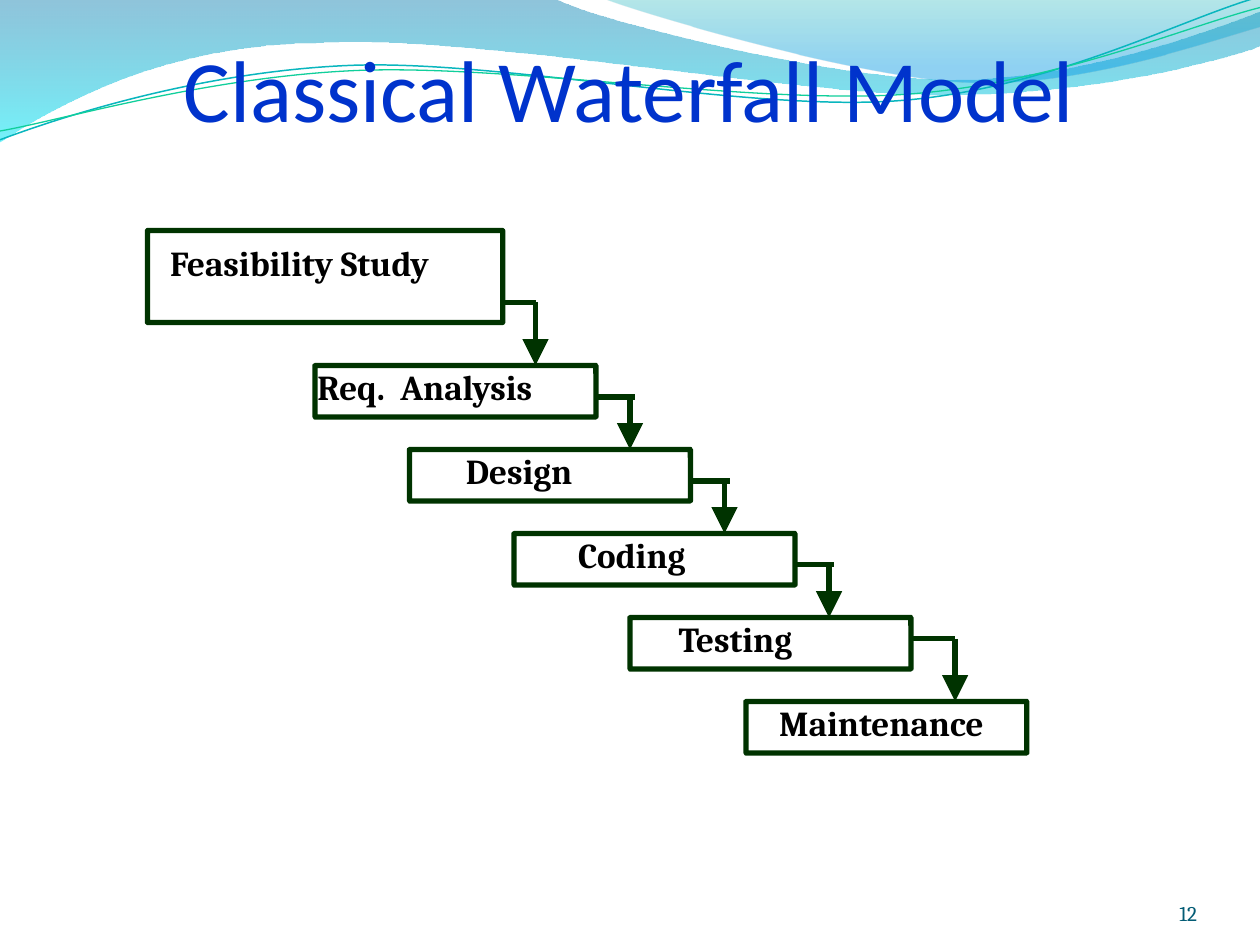
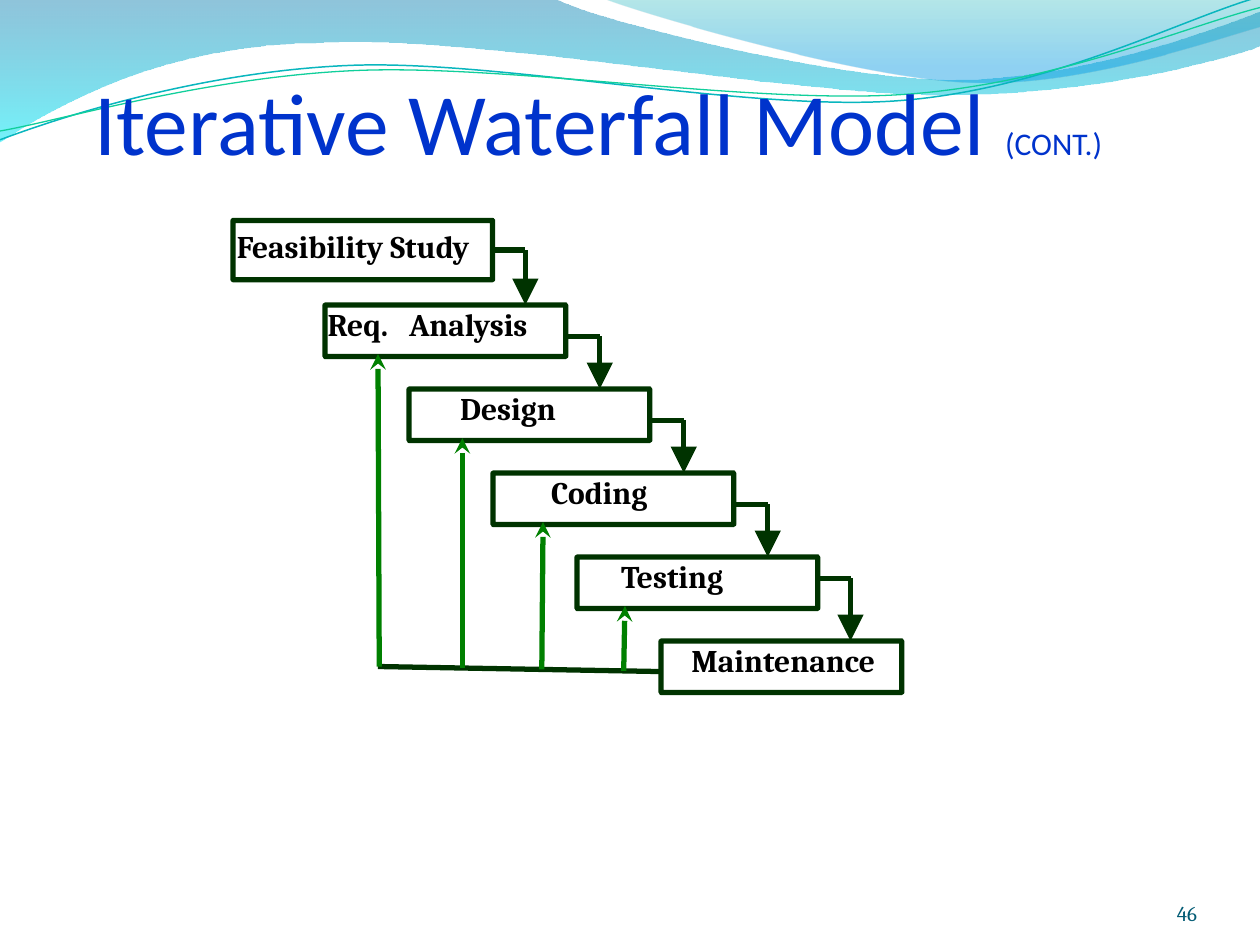
from dataclasses import dataclass

from lxml.etree import SubElement
from pptx import Presentation
from pptx.dml.color import RGBColor
from pptx.enum.shapes import MSO_CONNECTOR, MSO_SHAPE
from pptx.enum.text import MSO_ANCHOR, PP_ALIGN
from pptx.oxml import parse_xml
from pptx.oxml.ns import nsdecls, qn
from pptx.util import Inches, Pt

# Shared look
TITLE_BLUE = RGBColor(0x00, 0x33, 0xCC)
DARK_GREEN = RGBColor(0x00, 0x33, 0x00)
FEEDBACK_GREEN = RGBColor(0x00, 0x80, 0x00)
NUMBER_TEAL = RGBColor(0x03, 0x5C, 0x75)
WAVE_TEAL = RGBColor(0x09, 0xB6, 0xBE)
WAVE_GREEN = RGBColor(0x10, 0xCF, 0x9B)
BLACK = RGBColor(0, 0, 0)
TITLE_FONT, BODY_FONT = "Calibri", "Cambria"
SIDE_INSET, TOP_INSET = 0.02, 0.05
STEP = 2 / 3  # drop from one stage to the next
EXIT_DROP = 0.25  # from the top of a stage to its outgoing line
SPACE_EM = 0.22  # width of a space in the body font

# Header outlines: two numbers are a line end, six are a Bézier curve
LEFT_BAND = [
    (0, -0.01), (4.4, -0.01),
    (4.76, 0.17, 6.64, 0.63, 7.58, 0.63), (8.53, 0.63, 9.58, 0.26, 10, 0.09),
    (10.01, 0.36),
    (9.83, 0.44, 8.7, 0.76, 7.46, 0.75), (6.22, 0.75, 3.82, 0.28, 2.57, 0.34),
    (1.29, 0.35, 0.46, 0.83, -0.01, 1.13),
]
RIGHT_BAND = [
    (4.79, -0.01),
    (5.09, 0.11, 6.82, 0.62, 7.69, 0.65), (8.56, 0.69, 9.61, 0.32, 10, 0.21),
    (10, 0),
]
TEAL_WAVE = [
    (0, 1.11),
    (0.48, 0.93, 1.58, 0.57, 2.77, 0.52), (3.95, 0.47, 5.93, 0.89, 7.13, 0.8),
    (8.33, 0.71, 9.38, 0.15, 9.98, -0.02),
]
GREEN_WAVE = [
    (0, 1.04),
    (0.47, 0.96, 1.64, 0.61, 2.83, 0.56), (4.03, 0.51, 5.97, 0.83, 7.17, 0.75),
    (8.36, 0.67, 9.41, 0.21, 10, 0.06),
]


@dataclass
class Stage:
    words: tuple
    left: float
    top: float
    width: float
    height: float = 0.41
    indent: float = 0  # label indent, in space widths
    gap: int = 1  # between the words, in space widths
    label_shift: tuple = (0, 0)
    exit_drop: float = EXIT_DROP
    reach: float = 0.27  # from the right side to the downward arrow
    overhang: float = 0  # outgoing line past the arrow


def add_outline(slide, outline, close):
    """Freeform whose six-number parts become Bézier curves."""
    ends = [(Inches(part[-2]), Inches(part[-1])) for part in outline]
    builder = slide.shapes.build_freeform(*ends[0])
    builder.add_line_segments(ends[1:], close=close)
    freeform = builder.convert_to_shape()
    freeform.shadow.inherit = False
    freeform.fill.background()
    segments = list(freeform.element.iter(qn("a:lnTo")))
    for segment, part in zip(segments, outline[1:]):
        if len(part) == 6:
            points = "".join(
                f'<a:pt x="{Inches(x) - freeform.left}" y="{Inches(y) - freeform.top}"/>'
                for x, y in zip(part[::2], part[1::2]))
            curve = parse_xml(f'<a:cubicBezTo {nsdecls("a")}>{points}</a:cubicBezTo>')
            segment.getparent().replace(segment, curve)
    return freeform


def add_band(slide, outline, stops):
    """Closed band with a see-through gradient from top to bottom."""
    band = add_outline(slide, outline, close=True)
    band.line.fill.background()
    stop_xml = "".join(
        f'<a:gs pos="{place * 1000}"><a:srgbClr val="{color}">'
        f'<a:alpha val="{opacity * 1000}"/></a:srgbClr></a:gs>'
        for place, color, opacity in stops)
    gradient = parse_xml(
        f'<a:gradFill {nsdecls("a")} rotWithShape="1"><a:gsLst>{stop_xml}</a:gsLst>'
        '<a:lin ang="5400000" scaled="0"/></a:gradFill>')
    properties = band.element.spPr
    properties.replace(properties.find(qn("a:noFill")), gradient)


def add_wave(slide, outline, color, width):
    wave = add_outline(slide, outline, close=False)
    wave.line.color.rgb = color
    wave.line.width = Pt(width)


def add_header(slide):
    add_band(slide, LEFT_BAND, [(0, "0079AD", 44), (100, "00E9F7", 55)])
    add_band(slide, RIGHT_BAND,
             [(0, "00ABB4", 29), (80, "0099E4", 44), (100, "0099E4", 44)])
    add_wave(slide, TEAL_WAVE, WAVE_TEAL, 0.85)
    add_wave(slide, GREEN_WAVE, WAVE_GREEN, 0.75)


def add_run(paragraph, text, font, size, color, bold=False):
    run = paragraph.add_run()
    run.text = text
    run.font.name = font
    run.font.size = Pt(size)
    run.font.color.rgb = color
    run.font.bold = bold
    return run


def add_text_box(slide, box, anchor, align, side=SIDE_INSET, edge=TOP_INSET, indent=0):
    """Empty text box; returns its paragraph."""
    frame = slide.shapes.add_textbox(*map(Inches, box)).text_frame
    frame.word_wrap = True
    frame.vertical_anchor = anchor
    frame.margin_left, frame.margin_right = Inches(side + indent), Inches(side)
    frame.margin_top = frame.margin_bottom = Inches(edge)
    paragraph = frame.paragraphs[0]
    paragraph.alignment = align
    return paragraph


def add_label(slide, stage, size):
    space = SPACE_EM * size / 72
    shift_x, shift_y = stage.label_shift
    box = (stage.left + shift_x, stage.top + shift_y, stage.width + 0.1, 0.4)
    label = add_text_box(slide, box, MSO_ANCHOR.TOP, PP_ALIGN.LEFT,
                         indent=stage.indent * space)
    label.line_spacing = 0.85
    style = (BODY_FONT, size, BLACK, True)
    if stage.gap == 1:
        add_run(label, " ".join(stage.words), *style)
        return
    # A wider gap is one space with extra character spacing
    first, second = stage.words
    add_run(label, first, *style)
    wide_space = add_run(label, " ", *style)
    extra = (stage.gap - 1) * SPACE_EM * size
    wide_space.font._element.set("spc", str(round(extra * 100)))
    add_run(label, second, *style)


def add_stage(slide, stage, size):
    add_label(slide, stage, size)
    box = slide.shapes.add_shape(
        MSO_SHAPE.ROUNDED_RECTANGLE, Inches(stage.left), Inches(stage.top),
        Inches(stage.width), Inches(stage.height))
    box.adjustments[0] = 0.004
    box.shadow.inherit = False
    box.fill.background()
    box.line.color.rgb = DARK_GREEN
    box.line.width = Pt(3)
    return box


def add_line(slide, start, end, color=DARK_GREEN, arrow=None, arrow_size="med"):
    line = slide.shapes.add_connector(
        MSO_CONNECTOR.STRAIGHT, *map(Inches, (*start, *end)))
    line.line.color.rgb = color
    line.line.width = Pt(3)
    if arrow:
        SubElement(line.line._get_or_add_ln(), qn("a:tailEnd"),
                   type=arrow, w=arrow_size, len=arrow_size)
    SubElement(line._element.spPr, qn("a:effectLst"))
    return line


def add_waterfall(slide, stages, size):
    """Stages, each with a line out of its side and an arrow to the next."""
    boxes = [add_stage(slide, stage, size) for stage in stages]
    for box, stage, following in zip(boxes, stages, stages[1:]):
        right = stage.left + stage.width
        at_middle = abs(stage.exit_drop - stage.height / 2) < 0.02
        exit_y = stage.top + (stage.height / 2 if at_middle else stage.exit_drop)
        turn_x = right + stage.reach
        exit_line = add_line(slide, (right, exit_y), (turn_x + stage.overhang, exit_y))
        if at_middle:
            exit_line.begin_connect(box, 3)
        add_line(slide, (turn_x, exit_y), (turn_x, following.top),
                 arrow="triangle", arrow_size="lg")


def add_feedback(slide):
    """Line back from maintenance, with an arrow up to each earlier stage."""
    bus_right, bus_left = (5.25, 5.33), (3, 5.29)
    add_line(slide, bus_right, bus_left)
    slope = (bus_right[1] - bus_left[1]) / (bus_right[0] - bus_left[0])
    arrow_ends = ((3.01, 3), (3.67, 3.67), (4.3, 4.31), (4.95, 4.96))
    for index, (foot, tip) in enumerate(arrow_ends):
        bus_y = bus_left[1] + (foot - bus_left[0]) * slope
        add_line(slide, (foot, bus_y), (tip, 2.81 + index * STEP),
                 FEEDBACK_GREEN, "stealth")


def later_stages(lefts, top, width, req_gap, testing_reach, overhang=0):
    """The five equal stages below the feasibility study."""
    labels = (("Req.", "Analysis"), ("Design",), ("Coding",), ("Testing",),
              ("Maintenance",))
    indents = (0, 7, 8, 6, 4)
    stages = [Stage(words, left, top + index * STEP, width, indent=indent)
              for index, (words, left, indent) in enumerate(zip(labels, lefts, indents))]
    stages[0].gap = req_gap
    for stage in stages[:3]:
        stage.overhang = overhang
    stages[3].exit_drop = 0.17
    stages[3].reach = testing_reach
    return stages


def add_base_slide(deck, title, title_height, title_align, number):
    slide = deck.slides.add_slide(deck.slide_layouts[6])
    add_header(slide)
    heading = add_text_box(slide, (0.73, 0.18, 8.53, title_height),
                           MSO_ANCHOR.BOTTOM, title_align)
    for text, size in title:
        add_run(heading, text, TITLE_FONT, size, TITLE_BLUE)
    footer = add_text_box(slide, (8.67, 6.95, 0.83, 0.4),
                          MSO_ANCHOR.BOTTOM, PP_ALIGN.RIGHT, side=0, edge=0)
    add_run(footer, number, BODY_FONT, 12, NUMBER_TEAL)
    return slide


def main():
    deck = Presentation()
    deck.slide_width, deck.slide_height = Inches(10), Inches(7.5)
    feasibility_words = ("Feasibility", "Study")

    # Classical model
    classical = add_base_slide(
        deck, [("Classical Waterfall Model", 50)], 0.98, PP_ALIGN.CENTER, "12")
    feasibility = Stage(feasibility_words, 1.17, 1.83, 2.82, 0.73,
                        label_shift=(0.16, 0.09), exit_drop=0.57, reach=0.26)
    add_waterfall(classical, [feasibility] + later_stages(
        (2.5, 3.25, 4.08, 5, 5.92), 2.9, 2.23, 2, 0.35, overhang=0.04), 20)

    # Iterative model
    iterative = add_base_slide(
        deck, [("Iterative Waterfall Model ", 50), ("(CONT.)", 18)], 1.24,
        PP_ALIGN.LEFT, "46")
    feasibility = Stage(feasibility_words, 1.85, 1.75, 2.06, 0.47,
                        label_shift=(0.01, 0.05), reach=0.26)
    add_waterfall(iterative, [feasibility] + later_stages(
        [2.58 + index * STEP for index in range(5)], 2.42, 1.91, 3, 0.26), 18)
    add_feedback(iterative)

    deck.save("out.pptx")


if __name__ == "__main__":
    main()
